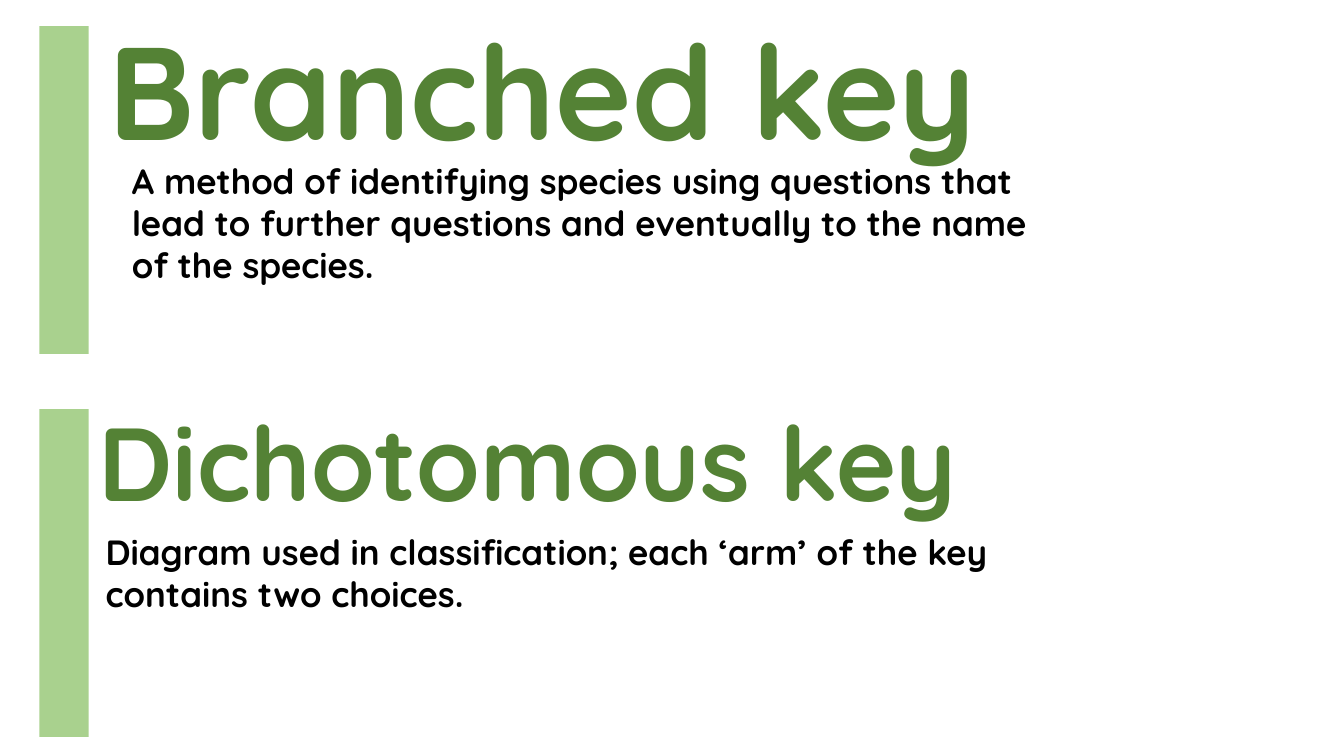
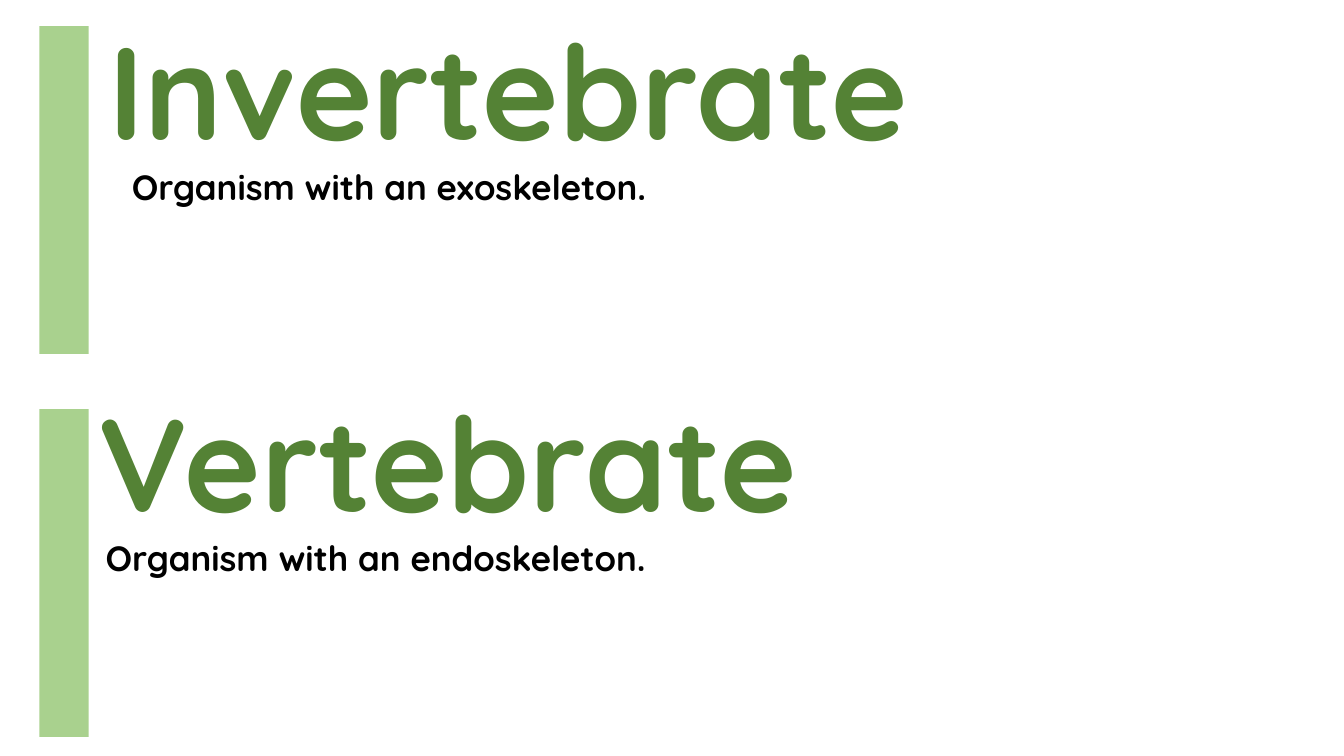
from pptx import Presentation
from pptx.dml.color import RGBColor
from pptx.enum import shapes, text
from pptx.util import Pt

PX = 9144  # 100 px to the inch
WIDE, HIGH = 1333, 750
LEAF = RGBColor(0xA9, 0xD1, 0x8E)
MOSS = RGBColor(0x54, 0x82, 0x35)
BLACK = RGBColor(0, 0, 0)
FONT = "Quicksand"

# Bar position, then offsets of the title and the body from it
UPPER = dict(left=39, top=26, head=(59, -24), body=(82, 127))
LOWER = dict(left=39, top=406, head=(49, -35), body=(56, 115))

# Each slide: body drop, then (term, title size, meaning) for each card
SLIDES = [
    (0, [("Branched key", 94,
          "A method of identifying species using questions that lead to "
          "further questions and eventually to the name of the species."),
         ("Dichotomous key", 74,
          "Diagram used in classification; each ‘arm’ of the key contains "
          "two choices.")]),
    (6, [("Invertebrate", 94, "Organism with an exoskeleton."),
         ("Vertebrate", 94, "Organism with an endoskeleton.")]),
]


def scale(*box):
    return [n * PX for n in box]


def write(slide, words, box, size, color=BLACK,
          anchor=text.MSO_ANCHOR.TOP):
    frame = slide.shapes.add_textbox(*scale(*box)).text_frame
    frame.word_wrap = True
    frame.vertical_anchor = anchor
    para = frame.paragraphs[0]
    run = para.add_run()
    run.text = words
    font = run.font
    font.name, font.size, font.bold = FONT, Pt(size), True
    font.color.rgb = color


def bar(slide, left, top):
    shape = slide.shapes.add_shape(
        shapes.MSO_SHAPE.RECTANGLE, *scale(left, top, 49, 325))
    shape.shadow.inherit = False
    shape.fill.solid()
    shape.fill.fore_color.rgb = LEAF
    shape.line.fill.background()


def card(slide, place, term, size, meaning, drop):
    """Place a bar with a term and its meaning beside it."""
    left, top = place["left"], place["top"]
    bar(slide, left, top)
    dx, dy = place["head"]
    write(slide, term, (left + dx, top + dy, 959, 170), size,
          color=MOSS, anchor=text.MSO_ANCHOR.MIDDLE)
    dx, dy = place["body"]
    write(slide, meaning, (left + dx, top + dy + drop, 945, 218), 25)


def main():
    deck = Presentation()
    deck.slide_width, deck.slide_height = scale(WIDE, HIGH)
    for drop, cards in SLIDES:
        slide = deck.slides.add_slide(deck.slide_layouts[6])
        for place, (term, size, meaning) in zip((UPPER, LOWER), cards):
            card(slide, place, term, size, meaning, drop)
    deck.save("out.pptx")


if __name__ == "__main__":
    main()
